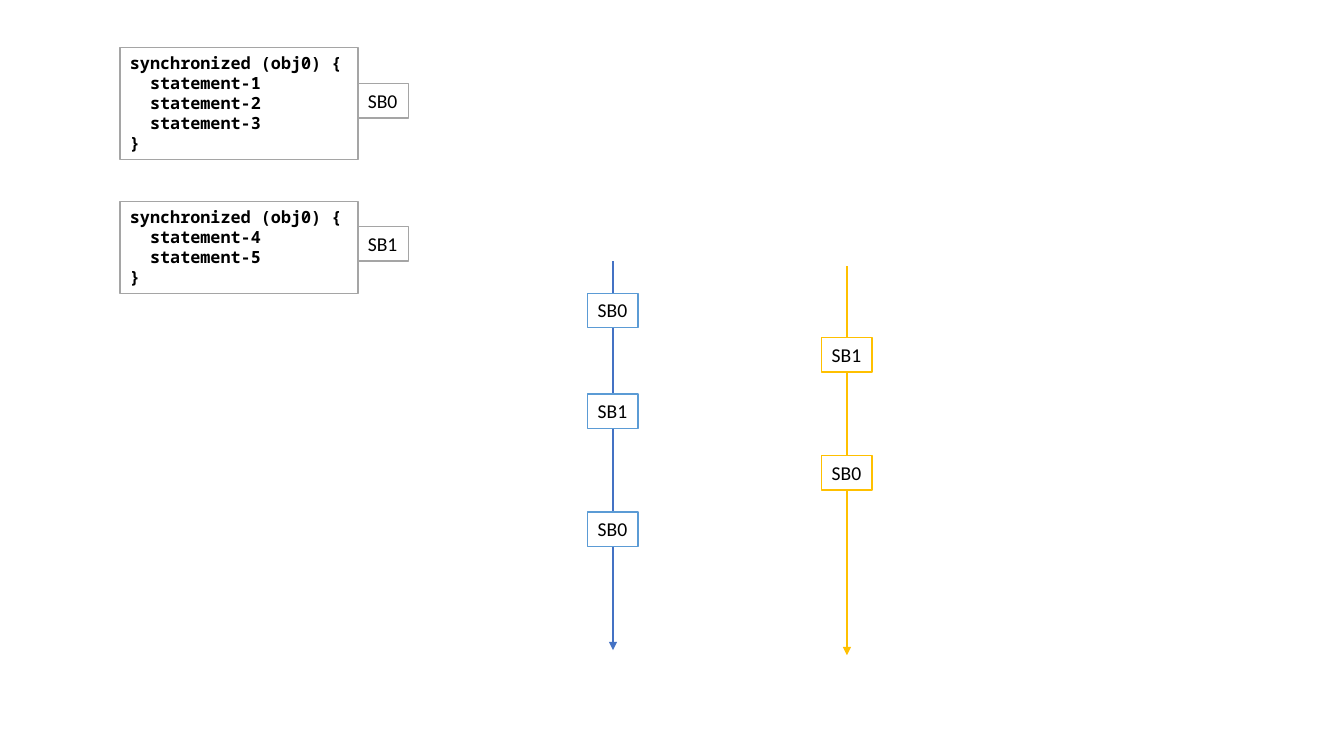
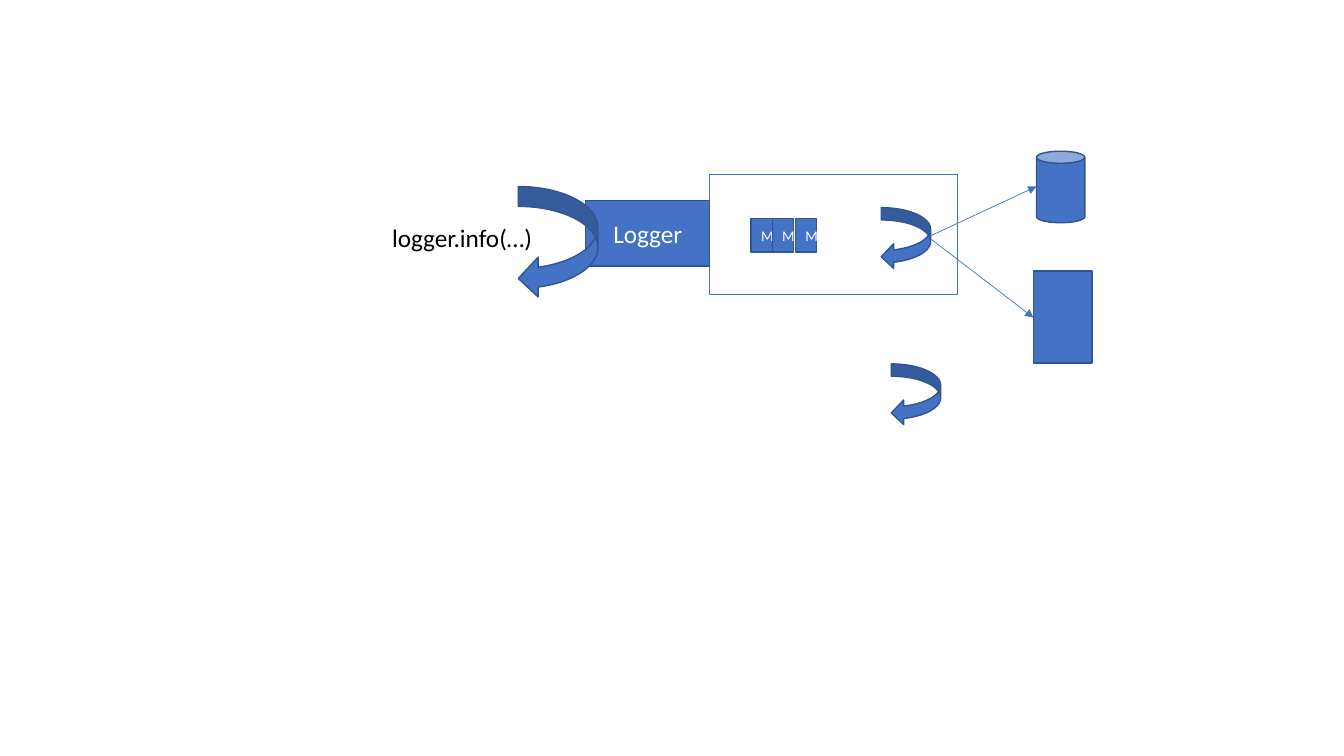
from lxml import etree
from pptx import Presentation
from pptx.dml.color import RGBColor
from pptx.enum.shapes import MSO_CONNECTOR, MSO_SHAPE as SHAPE
from pptx.enum.text import MSO_ANCHOR as ANCHOR, MSO_AUTO_SIZE as AUTO, PP_ALIGN as ALIGN
from pptx.oxml.ns import qn
from pptx.util import Inches, Pt

COLORS = {"white": "FFFFFF", "black": "000000", "gray": "A5A5A5", "blue": "4472C4",
          "light_blue": "5B9BD5", "navy": "325491", "gold": "FFC000"}
SANS, MONO = "Calibri", "Noto Sans Mono"
TAG_W, TAG_H = 0.5, 0.34
CODE_W, CODE_LINE, CODE_PAD, CODE_INDENT = 2.36, 0.2, 0.11, 0.2


def rgb(name):
    """Look up a palette colour."""
    return RGBColor.from_string(COLORS[name])


def add_box(slide, box, fill="blue", line="navy", kind=SHAPE.RECTANGLE):
    """Add a filled, outlined shape; box is left, top, width, height in inches."""
    sp = slide.shapes.add_shape(kind, *map(Inches, box))
    sp.shadow.inherit = False
    sp.fill.solid()
    sp.fill.fore_color.rgb = rgb(fill)
    sp.line.color.rgb = rgb(line)
    sp.line.width = Pt(1)
    return sp


def write(sp, lines, size, color="black", font=SANS, bold=False,
          align=ALIGN.LEFT, anchor=ANCHOR.TOP, wrap=True, grow=False):
    """Fill a shape with one paragraph per line, all in one style."""
    tf = sp.text_frame
    tf.word_wrap, tf.vertical_anchor = wrap, anchor
    tf.auto_size = AUTO.SHAPE_TO_FIT_TEXT if grow else AUTO.NONE
    tf.text = "\n".join(lines)
    for p in tf.paragraphs:
        p.alignment = align
        p.font.size, p.font.name, p.font.bold = Pt(size), font, bold
        p.font.color.rgb = rgb(color)
    return tf


def add_arrow(slide, start, end, color, width):
    """Draw a straight line with a triangle head at its end."""
    line = slide.shapes.add_connector(MSO_CONNECTOR.STRAIGHT, *map(Inches, start + end))
    line.line.color.rgb = rgb(color)
    line.line.width = Pt(width)
    etree.SubElement(line.line._get_or_add_ln(), qn("a:tailEnd"), type="triangle")
    etree.SubElement(line._element.spPr, qn("a:effectLst"))


def add_tag(slide, x, y, label, line):
    """Add a small block label."""
    sp = add_box(slide, (x, y, TAG_W, TAG_H), "white", line)
    write(sp, [label], 14, wrap=False, grow=True)


def code_block(slide, x, y, statements, label, tag_dy):
    """Add a synchronized block with its label on the right edge."""
    lines = ["synchronized (obj0) {", *statements, "}"]
    height = CODE_LINE * len(lines) + CODE_PAD
    sp = add_box(slide, (x, y, CODE_W, height), "white", "gray")
    tf = write(sp, lines, 12, font=MONO, bold=True, grow=True)
    for p in tf.paragraphs[1:-1]:
        p._p.get_or_add_pPr().set("marL", str(Inches(CODE_INDENT)))
    add_tag(slide, x + CODE_W, y + tag_dy, label, "gray")


def thread(slide, x, y, color, tag_line, tags):
    """Draw a thread's time arrow with block labels centred on it."""
    add_arrow(slide, (x, y), (x, y + 3.86), color, 1.5)
    for dy, label in tags:
        add_tag(slide, x - TAG_W / 2, y + dy, label, tag_line)


def add_label(slide, box, label, size):
    """Add a blue box with centred white text."""
    write(add_box(slide, box), [label], size, "white", align=ALIGN.CENTER, anchor=ANCHOR.MIDDLE)


def add_loop(slide, x, y, w=0.49, h=0.61):
    """Add the curved arrow that stands for a running thread."""
    add_box(slide, (x, y, w, h), kind=SHAPE.CURVED_LEFT_ARROW)


def queue(slide, x, y, w, h):
    """Draw the message queue and the thread that empties it."""
    add_box(slide, (x, y, w, h), "white", "blue")
    for dx in (0.41, 0.62, 0.85):
        add_label(slide, (x + dx, y + 0.44, 0.21, 0.33), "M", 10.5)
    add_loop(slide, x + 1.7, y + 0.33)


def targets(slide, x, y, source_x, source_y):
    """Draw the two log targets and the arrows that reach them."""
    add_box(slide, (x + 0.03, y, 0.48, 0.71), kind=SHAPE.CAN)
    add_box(slide, (x, y + 1.19, 0.58, 0.91))
    add_arrow(slide, (source_x, source_y), (x + 0.03, y + 0.35), "blue", 0.5)
    add_arrow(slide, (source_x, source_y + 0.03), (x, y + 1.65), "blue", 0.5)


def caller(slide, x, y):
    """Draw the calling thread and its logging call."""
    add_loop(slide, x + 1.35, y, 0.79, 1.11)
    call = slide.shapes.add_textbox(*map(Inches, (x, y + 0.31, 1.61, 0.4)))
    write(call, ["logger.info(…)"], 18, wrap=False, grow=True)


def synchronized_slide(prs):
    """Two synchronized blocks and the threads that run them."""
    slide = prs.slides.add_slide(prs.slide_layouts[6])
    code_block(slide, 1.19, 0.47, [f"statement-{n}" for n in (1, 2, 3)], "SB0", 0.36)
    code_block(slide, 1.19, 2, [f"statement-{n}" for n in (4, 5)], "SB1", 0.25)
    thread(slide, 6.08, 2.59, "blue", "light_blue",
           [(0.32, "SB0"), (1.32, "SB1"), (2.49, "SB0")])
    thread(slide, 8.4, 2.64, "gold", "gold", [(0.71, "SB1"), (1.88, "SB0")])


def logger_slide(prs):
    """A logger that passes messages through a queue to its targets."""
    slide = prs.slides.add_slide(prs.slide_layouts[6])
    queue(slide, 7.04, 1.73, 2.46, 1.19)
    add_label(slide, (5.81, 1.99, 1.23, 0.65), "Logger", 18)
    targets(slide, 10.25, 1.5, 9.23, 2.34)
    caller(slide, 3.79, 1.85)
    add_loop(slide, 8.84, 3.61)


prs = Presentation()
prs.slide_width, prs.slide_height = Inches(13.33), Inches(7.5)
synchronized_slide(prs)
logger_slide(prs)
prs.save("out.pptx")
